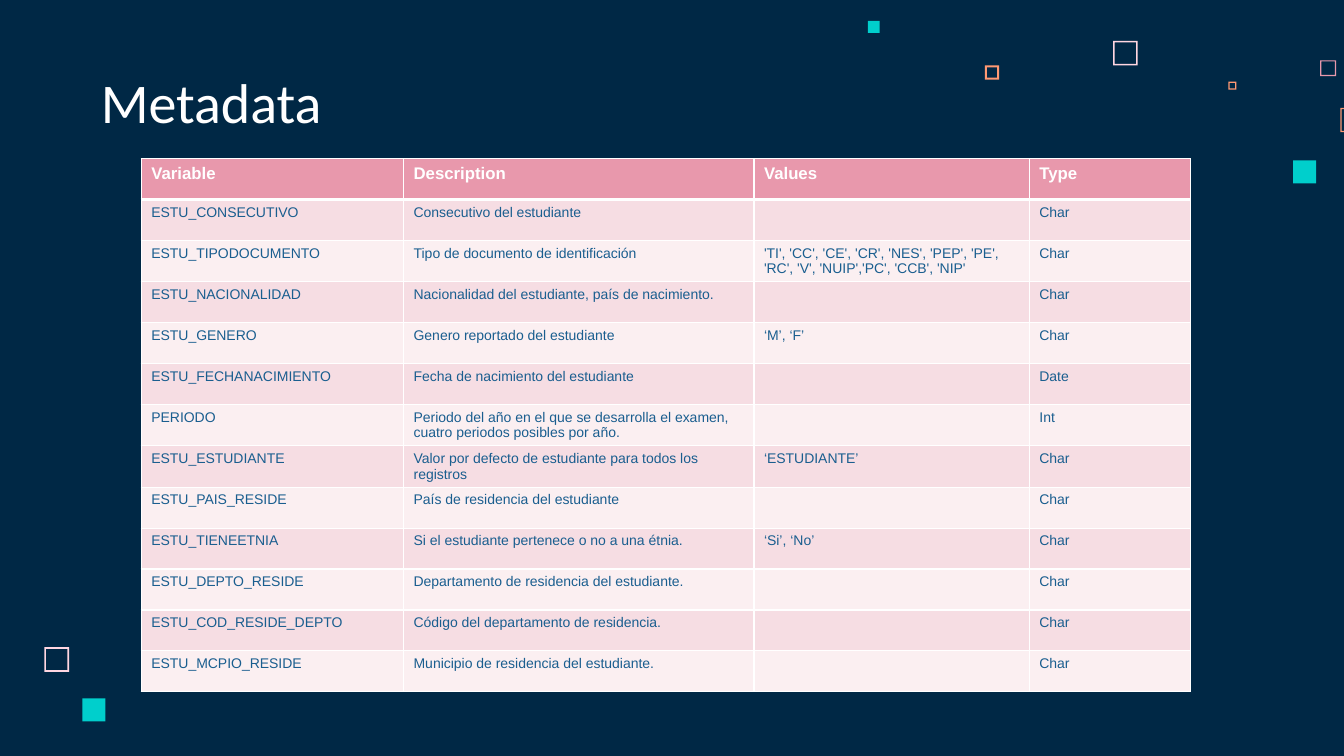
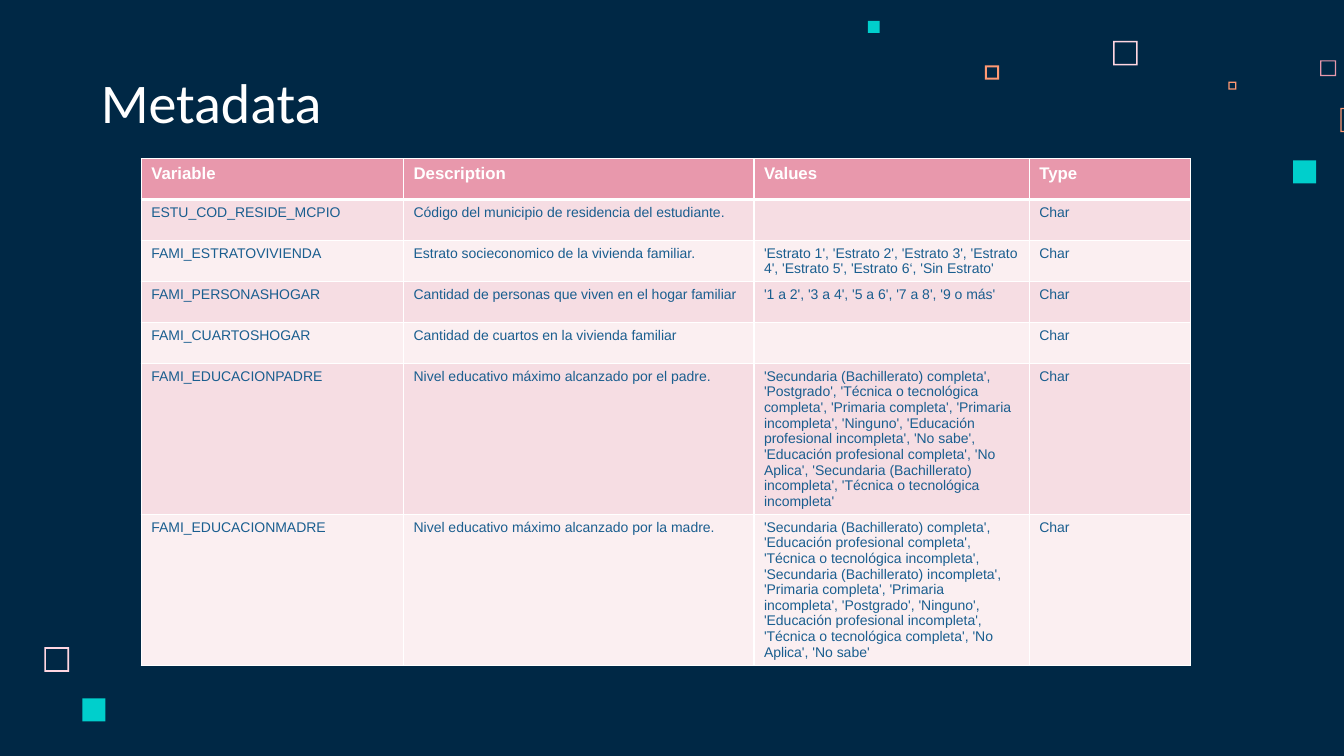
import dataclasses

import lxml.etree
import pptx
import pptx.dml.color
import pptx.enum.shapes
import pptx.enum.text
import pptx.oxml.ns
import pptx.presentation
import pptx.slide
import pptx.table
import pptx.text.text
import pptx.util

Cm = pptx.util.Cm
Pt = pptx.util.Pt
qn = pptx.oxml.ns.qn
Form = pptx.enum.shapes.MSO_SHAPE

# Shared look
HUES = {
    "navy": "002845", "white": "FFFFFF", "blue": "1A5E8F", "teal": "00CFCC",
    "rose": "E898AC", "blush": "FFD6E1", "peach": "FF9973",
    "odd": "F6DDE3", "even": "FBEFF1",
}
HEADS = ("Variable", "Description", "Values", "Type")
WIDTHS = (6.61, 8.83, 6.94, 4.06)
HEIGHT = 1.03


@dataclasses.dataclass(frozen=True)
class Square:
    """A corner square in cm; one with an edge is hollow."""
    left: float
    top: float
    size: float
    hue: str
    edge: float = 0


@dataclasses.dataclass(frozen=True)
class Field:
    """One table row."""
    name: str
    about: str
    range: str = ""
    kind: str = "Char"


@dataclasses.dataclass(frozen=True)
class Style:
    """The text style of a run."""
    font: str
    size: int
    hue: str
    bold: bool = False


TITLE = Style("Calibri", 40, "white")
HEAD = Style("Arial", 12, "white", True)
BODY = Style("Arial", 10, "blue")

SQUARES = (
    Square(28.05, 1.03, 0.62, "blush", 0.04),
    Square(33.27, 1.52, 0.4, "rose", 0.03),
    Square(30.96, 2.06, 0.2, "peach", 0.03),
    Square(33.78, 2.72, 0.61, "peach", 0.03),
    Square(32.59, 4.04, 0.58, "teal"),
    Square(24.82, 1.65, 0.36, "peach", 0.05),
    Square(21.87, 0.53, 0.3, "teal"),
    Square(1.12, 16.31, 0.62, "blush", 0.04),
    Square(2.08, 17.6, 0.58, "teal"),
)

# Rows of the two tables
PUPIL = (
    Field("ESTU_CONSECUTIVO", "Consecutivo del estudiante"),
    Field("ESTU_TIPODOCUMENTO", "Tipo de documento de identificación",
          "'TI', 'CC', 'CE', 'CR', 'NES', 'PEP', 'PE', 'RC', 'V', "
          "'NUIP','PC', 'CCB', 'NIP'"),
    Field("ESTU_NACIONALIDAD",
          "Nacionalidad del estudiante, país de nacimiento."),
    Field("ESTU_GENERO", "Genero reportado del estudiante", "‘M’, ‘F’"),
    Field("ESTU_FECHANACIMIENTO", "Fecha de nacimiento del estudiante",
          kind="Date"),
    Field("PERIODO", "Periodo del año en el que se desarrolla el examen, "
          "cuatro periodos posibles por año.", kind="Int"),
    Field("ESTU_ESTUDIANTE",
          "Valor por defecto de estudiante para todos los registros",
          "‘ESTUDIANTE’"),
    Field("ESTU_PAIS_RESIDE", "País de residencia del estudiante"),
    Field("ESTU_TIENEETNIA",
          "Si el estudiante pertenece o no a una étnia.", "‘Si’, ‘No’"),
    Field("ESTU_DEPTO_RESIDE", "Departamento de residencia del estudiante."),
    Field("ESTU_COD_RESIDE_DEPTO", "Código del departamento de residencia."),
    Field("ESTU_MCPIO_RESIDE", "Municipio de residencia del estudiante."),
)
HOME = (
    Field("ESTU_COD_RESIDE_MCPIO",
          "Código del municipio de residencia del estudiante."),
    Field("FAMI_ESTRATOVIVIENDA",
          "Estrato socieconomico de la vivienda familiar.",
          "'Estrato 1', 'Estrato 2', 'Estrato 3', 'Estrato 4', "
          "'Estrato 5', 'Estrato 6‘, 'Sin Estrato'"),
    Field("FAMI_PERSONASHOGAR",
          "Cantidad de personas que viven en el hogar familiar",
          "'1 a 2', '3 a 4', '5 a 6', '7 a 8', '9 o más'"),
    Field("FAMI_CUARTOSHOGAR", "Cantidad de cuartos en la vivienda familiar"),
    Field("FAMI_EDUCACIONPADRE",
          "Nivel educativo máximo alcanzado por el padre.",
          "'Secundaria (Bachillerato) completa', 'Postgrado', "
          "'Técnica o tecnológica completa', 'Primaria completa', "
          "'Primaria incompleta', 'Ninguno', "
          "'Educación profesional incompleta', 'No sabe', "
          "'Educación profesional completa', 'No Aplica', "
          "'Secundaria (Bachillerato) incompleta', "
          "'Técnica o tecnológica incompleta'"),
    Field("FAMI_EDUCACIONMADRE",
          "Nivel educativo máximo alcanzado por la madre.",
          "'Secundaria (Bachillerato) completa', "
          "'Educación profesional completa', "
          "'Técnica o tecnológica incompleta', "
          "'Secundaria (Bachillerato) incompleta', 'Primaria completa', "
          "'Primaria incompleta', 'Postgrado', 'Ninguno', "
          "'Educación profesional incompleta', "
          "'Técnica o tecnológica completa', 'No Aplica', 'No sabe'"),
)


def tint(hue: str) -> pptx.dml.color.RGBColor:
    return pptx.dml.color.RGBColor.from_string(HUES[hue])


def write(para: pptx.text.text._Paragraph, text: str, style: Style) -> None:
    """Add one styled run, or size the empty line."""
    if not text:
        lxml.etree.SubElement(para._p, qn("a:endParaRPr"),
                              sz=str(style.size * 100))
        return
    run = para.add_run()
    run.text = text
    run.font.name = style.font
    run.font.size = Pt(style.size)
    run.font.bold = style.bold
    run.font.color.rgb = tint(style.hue)


def draw_square(slide: pptx.slide.Slide, square: Square) -> None:
    form = Form.FRAME if square.edge else Form.RECTANGLE
    shape = slide.shapes.add_shape(form, Cm(square.left), Cm(square.top),
                                   Cm(square.size), Cm(square.size))
    if square.edge:
        shape.adjustments[0] = square.edge / square.size
    shape.shadow.inherit = False
    shape.fill.solid()
    shape.fill.fore_color.rgb = tint(square.hue)
    shape.line.fill.background()


def draw_title(slide: pptx.slide.Slide, text: str) -> None:
    title = slide.shapes.title
    title.left, title.top = Cm(2.29), Cm(1.52)
    title.width, title.height = Cm(17.5), Cm(2.13)
    frame = title.text_frame
    frame.auto_size = pptx.enum.text.MSO_AUTO_SIZE.NONE
    frame.vertical_anchor = pptx.enum.text.MSO_ANCHOR.BOTTOM
    frame.margin_left = frame.margin_right = Cm(0.25)
    frame.margin_top = frame.margin_bottom = Cm(0.25)
    para = frame.paragraphs[0]
    para.alignment = pptx.enum.text.PP_ALIGN.LEFT
    write(para, text, TITLE)


def draw_edge(cell: pptx.table._Cell, side: str, width: float) -> None:
    line = lxml.etree.SubElement(cell._tc.get_or_add_tcPr(), qn("a:ln" + side),
                                 w=str(Pt(width)))
    fill = lxml.etree.SubElement(line, qn("a:solidFill"))
    lxml.etree.SubElement(fill, qn("a:srgbClr"), val=HUES["white"])


def draw_table(slide: pptx.slide.Slide, fields: tuple[Field, ...]) -> None:
    rows = [HEADS] + [dataclasses.astuple(field) for field in fields]
    table = slide.shapes.add_table(
        len(rows), len(HEADS), Cm(3.56), Cm(4.0),
        Cm(sum(WIDTHS)), Cm(HEIGHT * len(rows))).table
    table.horz_banding = False
    for column, width in zip(table.columns, WIDTHS):
        column.width = Cm(width)
    for y, texts in enumerate(rows):
        table.rows[y].height = Cm(HEIGHT)
        hue = "rose" if y == 0 else "odd" if y % 2 else "even"
        for x, text in enumerate(texts):
            cell = table.cell(y, x)
            # A thick rule parts the head from the body
            for side in "LRTB":
                thick = (y, side) in ((0, "B"), (1, "T"))
                draw_edge(cell, side, 3 if thick else 1)
            cell.fill.solid()
            cell.fill.fore_color.rgb = tint(hue)
            write(cell.text_frame.paragraphs[0], text, BODY if y else HEAD)


def build(deck: pptx.presentation.Presentation,
          fields: tuple[Field, ...]) -> None:
    slide = deck.slides.add_slide(deck.slide_layouts[5])
    for square in SQUARES:
        draw_square(slide, square)
    draw_title(slide, "Metadata")
    draw_table(slide, fields)


# Deck
deck = pptx.Presentation()
deck.slide_width, deck.slide_height = Cm(33.87), Cm(19.05)
ground = deck.slide_master.background.fill
ground.solid()
ground.fore_color.rgb = tint("navy")
for group in (PUPIL, HOME):
    build(deck, group)
deck.save("out.pptx")
